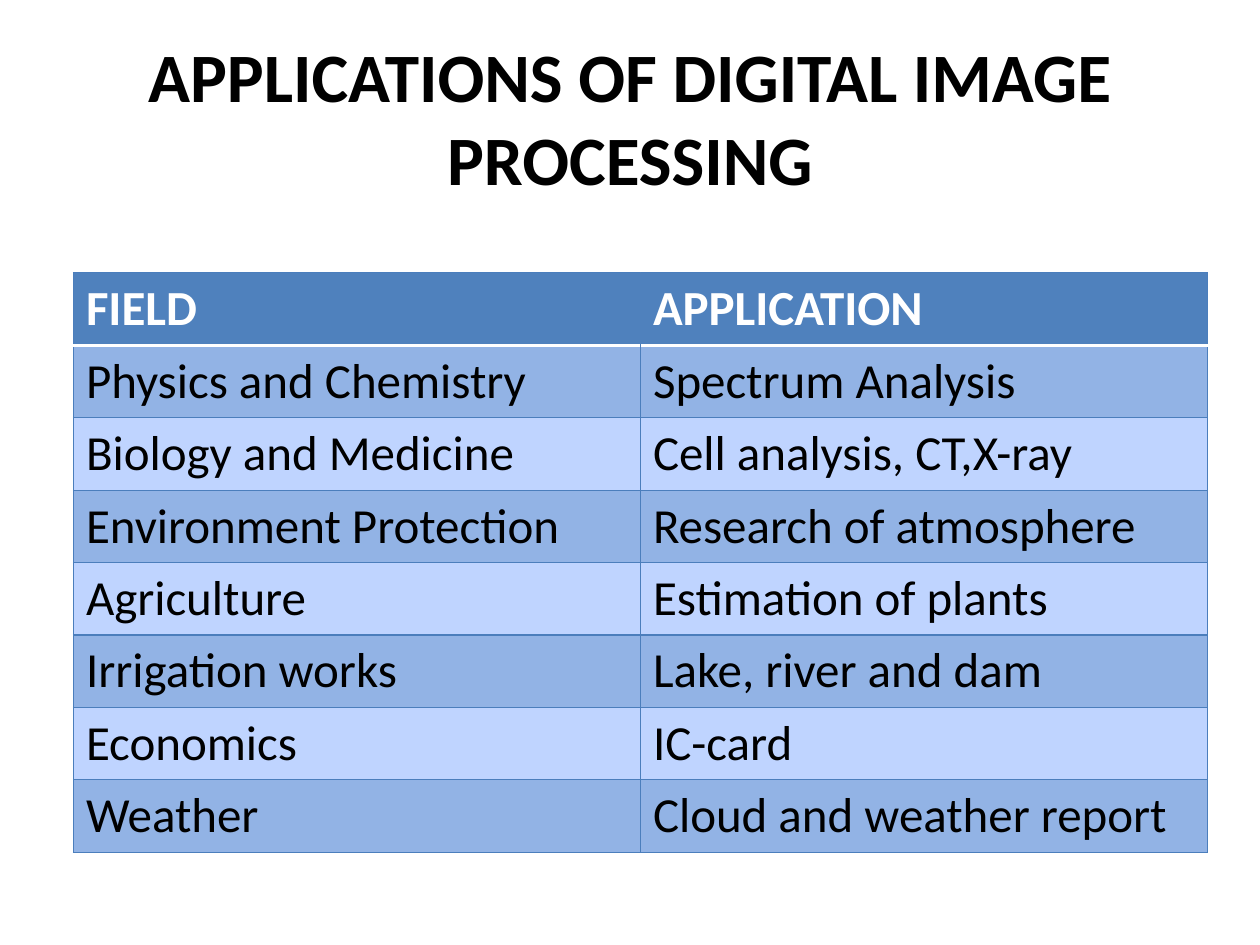
from lxml.etree import SubElement
from pptx import Presentation
from pptx.dml.color import RGBColor
from pptx.enum.text import MSO_ANCHOR, PP_ALIGN
from pptx.oxml.ns import qn
from pptx.util import Cm, Pt


def rgb(color):
    return RGBColor.from_string(color)


def write(tf, text, size=28, color="000000", bold=False, align=PP_ALIGN.LEFT):
    p = tf.paragraphs[0]
    p.alignment = align
    r = p.add_run()
    r.text = text
    r.font.name = "Calibri"
    r.font.size = Pt(size)
    r.font.bold = bold
    r.font.color.rgb = rgb(color)


prs = Presentation()
prs.slide_width, prs.slide_height = Cm(25.4), Cm(19.05)
s = prs.slides.add_slide(prs.slide_layouts[6])

title = s.shapes.add_textbox(Cm(1.27), Cm(0.76), Cm(22.86), Cm(3.18))
tf = title.text_frame
tf.word_wrap = True
tf.vertical_anchor = MSO_ANCHOR.MIDDLE
write(tf, "APPLICATIONS OF DIGITAL IMAGE PROCESSING", size=39.6, bold=True, align=PP_ALIGN.CENTER)

rows = [
    ("FIELD", "APPLICATION"),
    ("Physics and Chemistry", "Spectrum Analysis"),
    ("Biology and Medicine", "Cell analysis, CT,X-ray"),
    ("Environment Protection", "Research of atmosphere"),
    ("Agriculture", "Estimation of plants"),
    ("Irrigation works", "Lake, river and dam"),
    ("Economics", "IC-card"),
    ("Weather", "Cloud and weather report"),
]
row_height = Cm(1.46)
frame = s.shapes.add_table(len(rows), 2, Cm(1.48), Cm(5.5), Cm(22.86), row_height * len(rows))
table = frame.table
table.first_row = False
table.horz_banding = False

for i, row in enumerate(rows):
    table.rows[i].height = row_height
    header = i == 0
    fill = "4F81BD" if header else "92B3E5" if i % 2 else "BFD4FF"
    for j, text in enumerate(row):
        cell = table.cell(i, j)
        write(cell.text_frame, text, color="FFFFFF" if header else "000000", bold=header)
        tcPr = cell._tc.get_or_add_tcPr()
        for side in ("L", "R", "T", "B"):
            color, width = "4B7EBC", 0.75
            if (i, side) in ((0, "B"), (1, "T")):
                color, width = "FFFFFF", 2
            elif header and (j, side) in ((0, "R"), (1, "L")):
                color = "4F81BD"
            ln = SubElement(tcPr, qn(f"a:ln{side}"), w=str(Pt(width)))
            SubElement(SubElement(ln, qn("a:solidFill")), qn("a:srgbClr"), val=color)
        cell.fill.solid()
        cell.fill.fore_color.rgb = rgb(fill)

prs.save("out.pptx")
